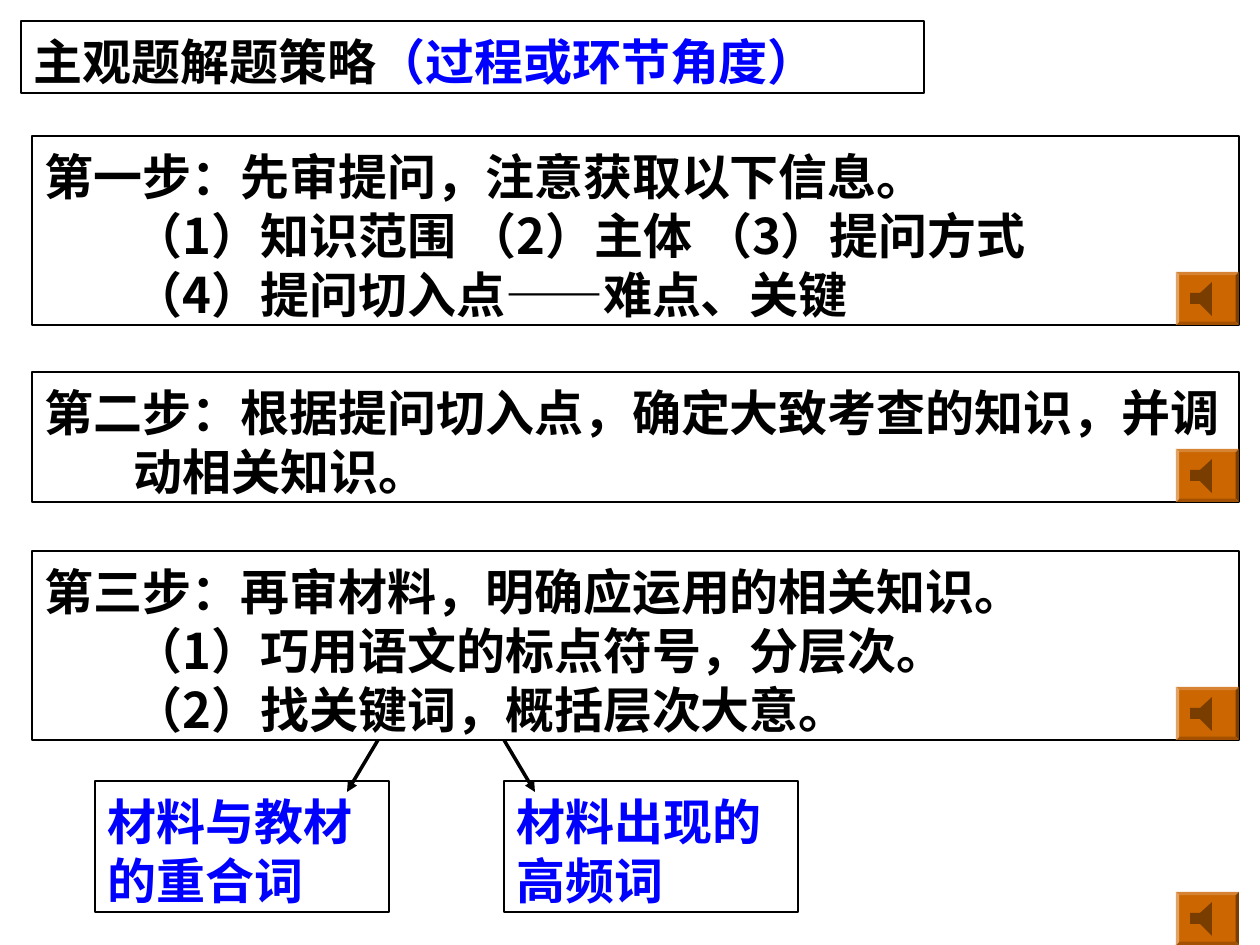
from pptx import Presentation
from pptx.dml.color import RGBColor
from pptx.enum.shapes import MSO_CONNECTOR, MSO_SHAPE
from pptx.enum.text import MSO_ANCHOR, MSO_AUTO_SIZE, PP_ALIGN
from pptx.oxml.ns import qn
from pptx.util import Pt
from lxml.etree import SubElement as add_element

EMU_PER_PX = 914400 / 126
FONT = "Noto Sans CJK SC"
COLORS = {"text": "000000", "accent": "0000FF", "button": "CC6600", "speaker": "7A3D00"}
HANGING = 89
STEP_LEFT, STEP_WIDTH = 32, 1207
BUTTON_LEFT, BUTTON_WIDTH, BUTTON_HEIGHT = 1176, 63, 53
SPEAKER = [(14, 21), (24, 21), (36, 10), (36, 44), (24, 32), (14, 32)]
STEPS = [
    (136, 189, ["第一步：先审提问，注意获取以下信息。",
                "（1）知识范围 （2）主体 （3）提问方式",
                "（4）提问切入点——难点、关键"]),
    (372, 130, ["第二步：根据提问切入点，确定大致考查的知识，并调",
                "动相关知识。"]),
    (551, 189, ["第三步：再审材料，明确应运用的相关知识。",
                "（1）巧用语文的标点符号，分层次。",
                "（2）找关键词，概括层次大意。"]),
]
KEYWORDS = [(95, "材料与教材的重合词"), (504, "材料出现的高频词")]
ARROWS = [(378, 347), (504, 535)]


def px(length):
    return round(length * EMU_PER_PX)


def color(name):
    return RGBColor.from_string(COLORS[name])


def place(box, left, top, width, height):
    box.left, box.top, box.width, box.height = map(px, (left, top, width, height))


def add_run(paragraph, text, color_name):
    run = paragraph.add_run()
    run.text = text
    run.font.size = Pt(28)
    run.font.bold = True
    run.font.name = FONT
    run.font.color.rgb = color(color_name)
    add_element(run.font._element, qn("a:ea"), typeface=FONT)


def format_frame(box):
    box.line.color.rgb = color("text")
    box.line.width = Pt(0.75)
    frame = box.text_frame
    frame.word_wrap = True
    frame.auto_size = MSO_AUTO_SIZE.NONE
    frame.vertical_anchor = MSO_ANCHOR.TOP
    frame.margin_left = frame.margin_right = px(13)
    frame.margin_top, frame.margin_bottom = px(11), px(1)
    paragraph = frame.paragraphs[0]
    paragraph.alignment = PP_ALIGN.LEFT
    paragraph.space_before = Pt(0)
    paragraph.line_spacing = Pt(33.5)
    return paragraph


def fill_title(slide):
    title = slide.shapes.title
    place(title, 21, 21, 903, 72)
    paragraph = format_frame(title)
    add_run(paragraph, "主观题解题策略", "text")
    add_run(paragraph, "（过程或环节角度）", "accent")


def add_box(slide, left, top, width, height, lines, color_name, hanging=0):
    box = slide.shapes.add_textbox(px(left), px(top), px(width), px(height))
    paragraph = format_frame(box)
    properties = paragraph._p.get_or_add_pPr()
    properties.set("marL", str(px(hanging)))
    properties.set("indent", str(-px(hanging)))
    for index, line in enumerate(lines):
        if index:
            paragraph.add_line_break()
        add_run(paragraph, line, color_name)


def paint(shape, color_name):
    shape.shadow.inherit = False
    shape.fill.solid()
    shape.fill.fore_color.rgb = color(color_name)
    shape.line.fill.background()


def add_sound_button(slide, bottom):
    top = bottom - BUTTON_HEIGHT
    button = slide.shapes.add_shape(
        MSO_SHAPE.BEVEL, px(BUTTON_LEFT), px(top), px(BUTTON_WIDTH), px(BUTTON_HEIGHT))
    button.adjustments[0] = 0.06
    paint(button, "button")
    corners = [(px(BUTTON_LEFT + x), px(top + y)) for x, y in SPEAKER]
    outline = slide.shapes.build_freeform(*corners[0])
    outline.add_line_segments(corners[1:], close=True)
    paint(outline.convert_to_shape(), "speaker")


def add_arrow(slide, start_x, start_y, end_x, end_y):
    arrow = slide.shapes.add_connector(
        MSO_CONNECTOR.STRAIGHT, px(start_x), px(start_y), px(end_x), px(end_y))
    arrow.line.color.rgb = color("text")
    arrow.line.width = Pt(2)
    add_element(arrow.line._get_or_add_ln(), qn("a:tailEnd"), type="triangle")
    add_element(arrow._element.spPr, qn("a:effectLst"))


def main():
    deck = Presentation()
    deck.slide_width, deck.slide_height = px(1260), px(945)
    slide = deck.slides.add_slide(deck.slide_layouts[5])
    fill_title(slide)
    for top, height, lines in STEPS:
        add_box(slide, STEP_LEFT, top, STEP_WIDTH, height, lines, "text", HANGING)
        add_sound_button(slide, top + height)
    for start_x, end_x in ARROWS:
        add_arrow(slide, start_x, 740, end_x, 792)
    for left, keyword in KEYWORDS:
        add_box(slide, left, 781, 294, 131, [keyword], "accent")
    add_sound_button(slide, 945)
    deck.save("out.pptx")


if __name__ == "__main__":
    main()
